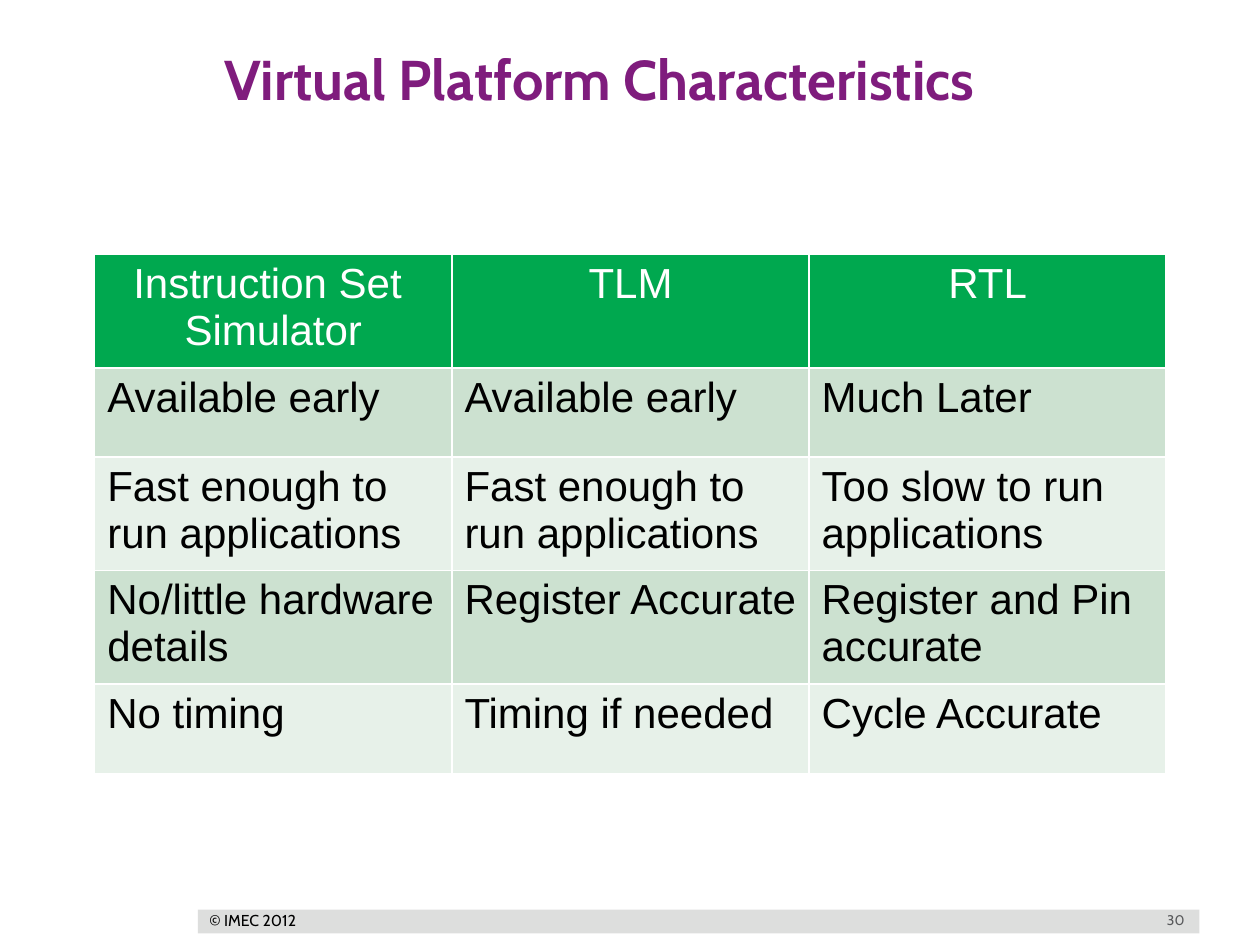
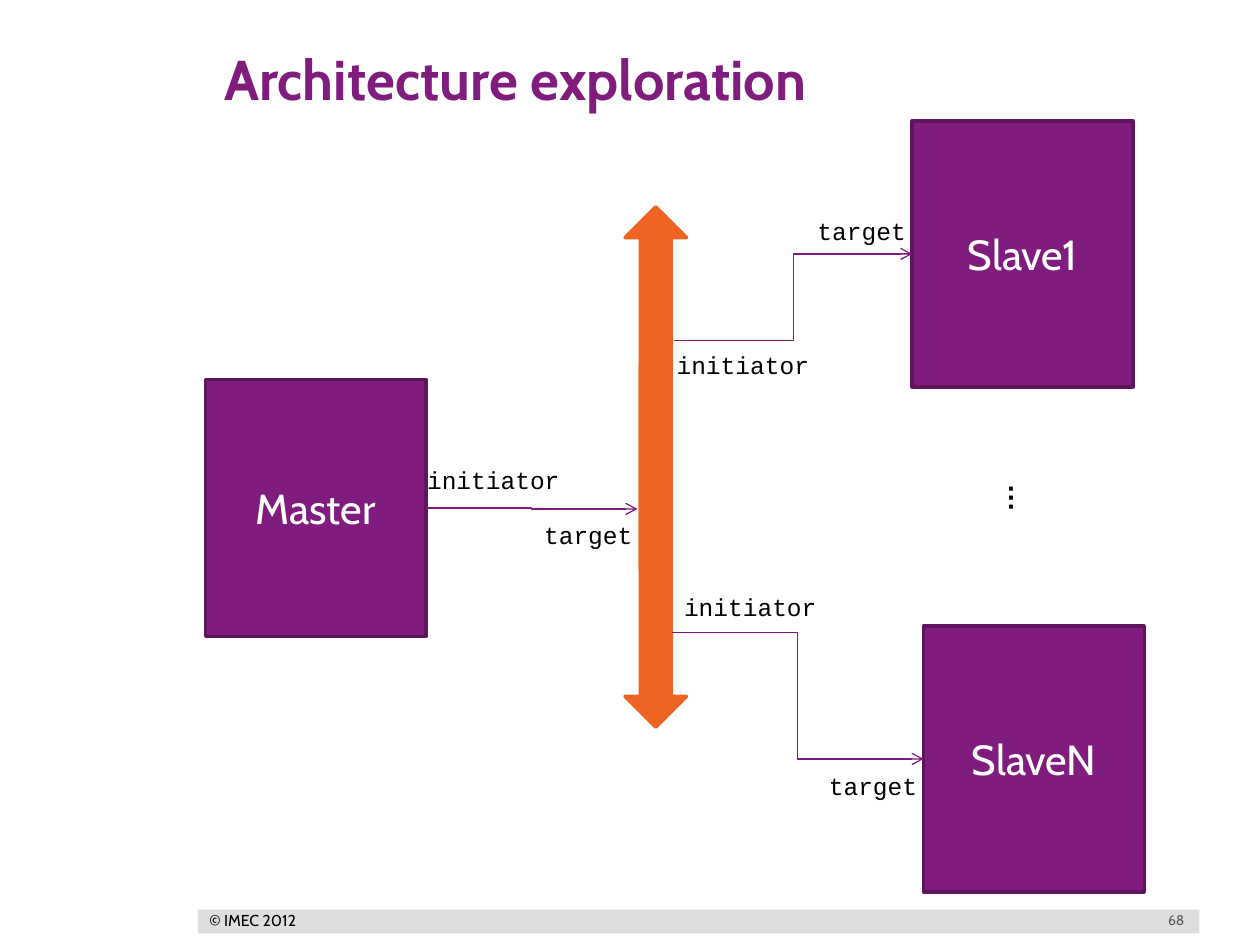
from lxml import etree
from pptx import Presentation
from pptx import util as u
from pptx.dml.color import RGBColor
from pptx.enum import shapes, text
from pptx.oxml import ns

# Shared look
PURPLE, DARK_PURPLE, LINE_PURPLE = "7F1C7D", "5E155C", "7F197D"
ORANGE, GREEN, BAND_DARK, BAND_LIGHT = "F06423", "00A84F", "CCE1D0", "E7F1E9"
FOOTER_GREY, NUMBER_GREY, BLACK, WHITE = "DDDEDD", "58595B", "000000", "FFFFFF"
HEADING_FONT, TABLE_FONT, CODE_FONT = "Cabin", "Arial", "Courier New"
INSETS = (0.25, 0.13, 0.25, 0.13)
LEFT, CENTER, RIGHT = text.PP_ALIGN.LEFT, text.PP_ALIGN.CENTER, text.PP_ALIGN.RIGHT
TOP, MIDDLE = text.MSO_ANCHOR.TOP, text.MSO_ANCHOR.MIDDLE

# Slide content
CHARACTERISTICS = [
    ("Instruction Set \nSimulator", "TLM", "RTL"),
    ("Available early", "Available early", "Much Later"),
    ("Fast enough to run applications", "Fast enough to run applications",
     "Too slow to run applications"),
    ("No/little hardware details", "Register Accurate", "Register and Pin accurate"),
    ("No timing", "Timing if needed", "Cycle Accurate"),
]
ROW_HEIGHTS = (1.8, 1.8, 2.18, 2.26, 1.8)
COLUMN_WIDTH = 7.2
PORT_LABELS = [
    ("initiator", 8.36, 9.25), ("target", 10.72, 10.36),
    ("initiator", 13.39, 6.93), ("target", 16.23, 4.22),
    ("initiator", 13.54, 11.81), ("target", 16.46, 15.42),
]
PORT_WIDTHS = {"initiator": 3.51, "target": 2.44}


def color(hex_code):
    return RGBColor.from_string(hex_code)


def cm(*lengths):
    return [u.Cm(length) for length in lengths]


def write(frame, words, size, font, ink, align=LEFT, bold=False):
    frame.text = words
    for paragraph in frame.paragraphs:
        paragraph.alignment = align
        for run in paragraph.runs:
            run.font.size = u.Pt(size)
            run.font.name = font
            run.font.bold = bold
            run.font.color.rgb = color(ink)


def add_label(slide, box, words, size, font, ink, align=LEFT, bold=False,
              anchor=TOP, insets=INSETS, wrap=True):
    label = slide.shapes.add_textbox(*cm(*box))
    frame = label.text_frame
    frame.word_wrap = wrap
    frame.vertical_anchor = anchor
    (frame.margin_left, frame.margin_top,
     frame.margin_right, frame.margin_bottom) = cm(*insets)
    write(frame, words, size, font, ink, align, bold)
    return label


def add_filled(slide, preset, box, fill, outline=None):
    filled = slide.shapes.add_shape(preset, *cm(*box))
    filled.shadow.inherit = False
    filled.fill.solid()
    filled.fill.fore_color.rgb = color(fill)
    if outline:
        filled.line.color.rgb = color(outline)
        filled.line.width = u.Pt(2)
    else:
        filled.line.fill.background()
    return filled


def add_block(slide, box, words):
    block = add_filled(slide, shapes.MSO_SHAPE.RECTANGLE, box, PURPLE, DARK_PURPLE)
    block.text_frame.vertical_anchor = MIDDLE
    write(block.text_frame, words, 24, HEADING_FONT, WHITE, CENTER)
    return block


def add_link(slide, start, end):
    link = slide.shapes.add_connector(shapes.MSO_CONNECTOR.ELBOW, *cm(*start, *end))
    link.line.color.rgb = color(LINE_PURPLE)
    link.line.width = u.Pt(0.75)
    etree.SubElement(link.line._get_or_add_ln(), ns.qn("a:tailEnd"), type="arrow")
    etree.SubElement(link._element.spPr, ns.qn("a:effectLst"))
    return link


def set_borders(cell):
    properties = cell._tc.get_or_add_tcPr()
    for position, side in enumerate(("a:lnL", "a:lnR", "a:lnT", "a:lnB")):
        border = etree.Element(ns.qn(side), w=str(u.Pt(1)))
        fill = etree.SubElement(border, ns.qn("a:solidFill"))
        etree.SubElement(fill, ns.qn("a:srgbClr"), val=WHITE)
        properties.insert(position, border)


def add_comparison(slide, rows):
    box = (1.91, 5.13, COLUMN_WIDTH * len(rows[0]), sum(ROW_HEIGHTS))
    table = slide.shapes.add_table(len(rows), len(rows[0]), *cm(*box)).table
    for column in table.columns:
        column.width = u.Cm(COLUMN_WIDTH)
    for r, row in enumerate(rows):
        table.rows[r].height = u.Cm(ROW_HEIGHTS[r])
        header = r == 0
        fill = GREEN if header else BAND_DARK if r % 2 else BAND_LIGHT
        for c, words in enumerate(row):
            cell = table.cell(r, c)
            cell.fill.solid()
            cell.fill.fore_color.rgb = color(fill)
            set_borders(cell)
            write(cell.text_frame, words, 24, TABLE_FONT,
                  WHITE if header else BLACK, CENTER if header else LEFT)


def start_slide(deck, title, number):
    """Add a slide with the common footer band and title."""
    slide = deck.slides.add_slide(deck.slide_layouts[6])
    add_filled(slide, shapes.MSO_SHAPE.RECTANGLE, (3.99, 18.34, 20.19, 0.48), FOOTER_GREY)
    add_label(slide, (22.76, 18.31, 1.37, 0.48), str(number), 8, HEADING_FONT,
              NUMBER_GREY, RIGHT, anchor=MIDDLE)
    add_label(slide, (4.22, 18.36, 1.78, 0.38), "© IMEC 2012", 9, HEADING_FONT,
              BLACK, anchor=MIDDLE, insets=(0, 0, 0, 0), wrap=False)
    add_label(slide, (4.01, 0.76, 20.12, 2.69), title, 32, HEADING_FONT, PURPLE,
              bold=True, insets=(0.51, 0.13, 0.25, 0.13))
    return slide


def add_architecture(slide):
    # Master and slaves
    master = add_block(slide, (4.14, 7.65, 4.45, 5.18), "Master")
    first_slave = add_block(slide, (18.39, 2.44, 4.45, 5.36), "Slave1")
    last_slave = add_block(slide, (18.62, 12.62, 4.45, 5.36), "SlaveN")
    dots = add_label(slide, (19.69, 9.86, 2.06, 1.37), "...", 26, HEADING_FONT, BLACK)
    dots.rotation = 90

    # Bus: two overlapping arrows, one turned upwards
    for top, turn in ((7.34, 0), (4.17, 180)):
        bus = add_filled(slide, shapes.MSO_SHAPE.DOWN_ARROW,
                         (12.6, top, 1.24, 7.32), ORANGE, ORANGE)
        bus.rotation = turn

    # Links from initiator to target
    add_link(slide, (8.59, 10.24), (12.85, 10.26)).begin_connect(master, 3)
    add_link(slide, (13.59, 6.86), (18.39, 5.12)).end_connect(first_slave, 1)
    add_link(slide, (13.54, 12.75), (18.62, 15.3)).end_connect(last_slave, 1)
    for words, left, top in PORT_LABELS:
        add_label(slide, (left, top, PORT_WIDTHS[words], 0.86), words, 14, CODE_FONT, BLACK)


def main():
    deck = Presentation()
    deck.slide_width, deck.slide_height = cm(25.4, 19.05)
    add_comparison(start_slide(deck, "Virtual Platform Characteristics", 30), CHARACTERISTICS)
    add_architecture(start_slide(deck, "Architecture exploration", 68))
    deck.save("out.pptx")


if __name__ == "__main__":
    main()
